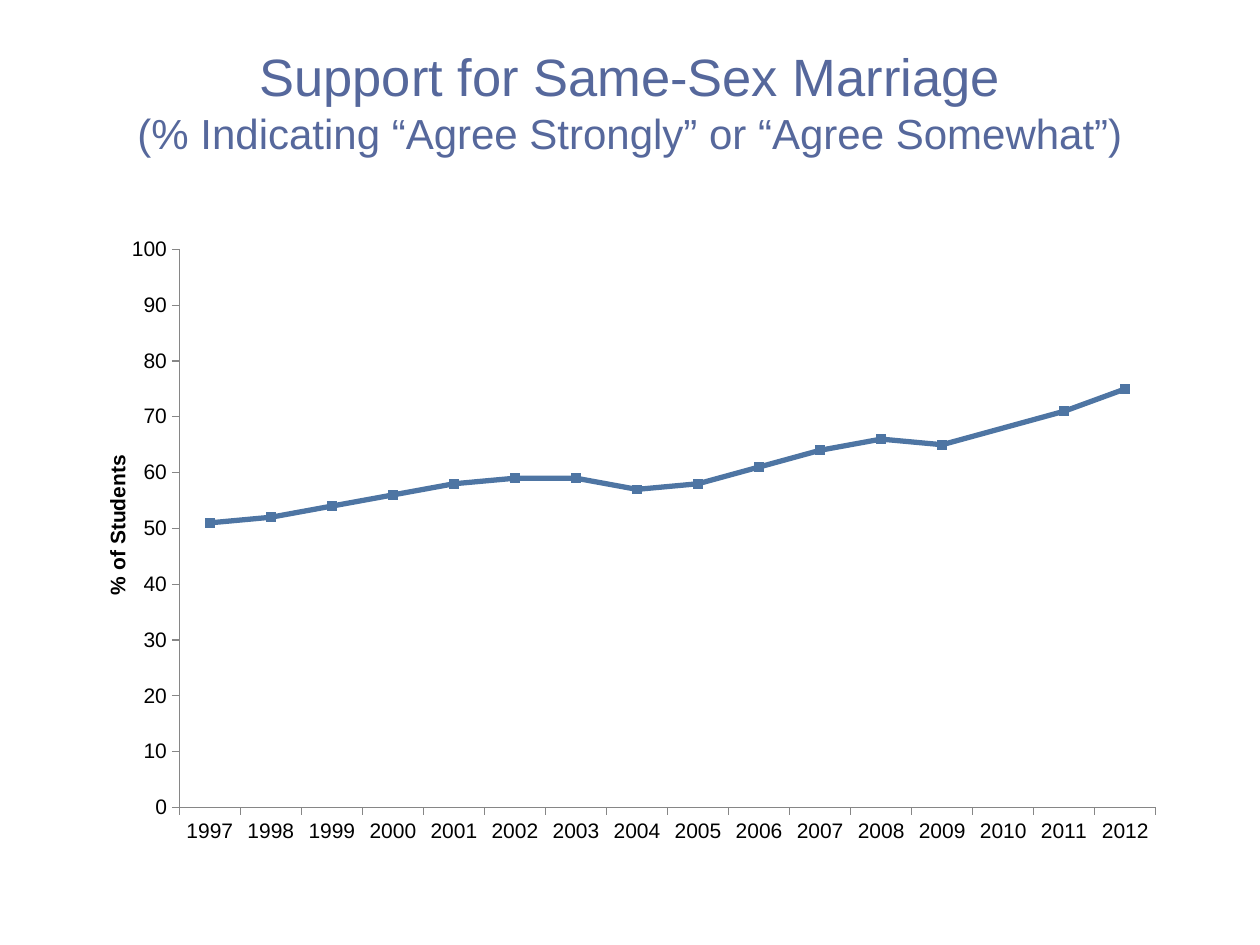
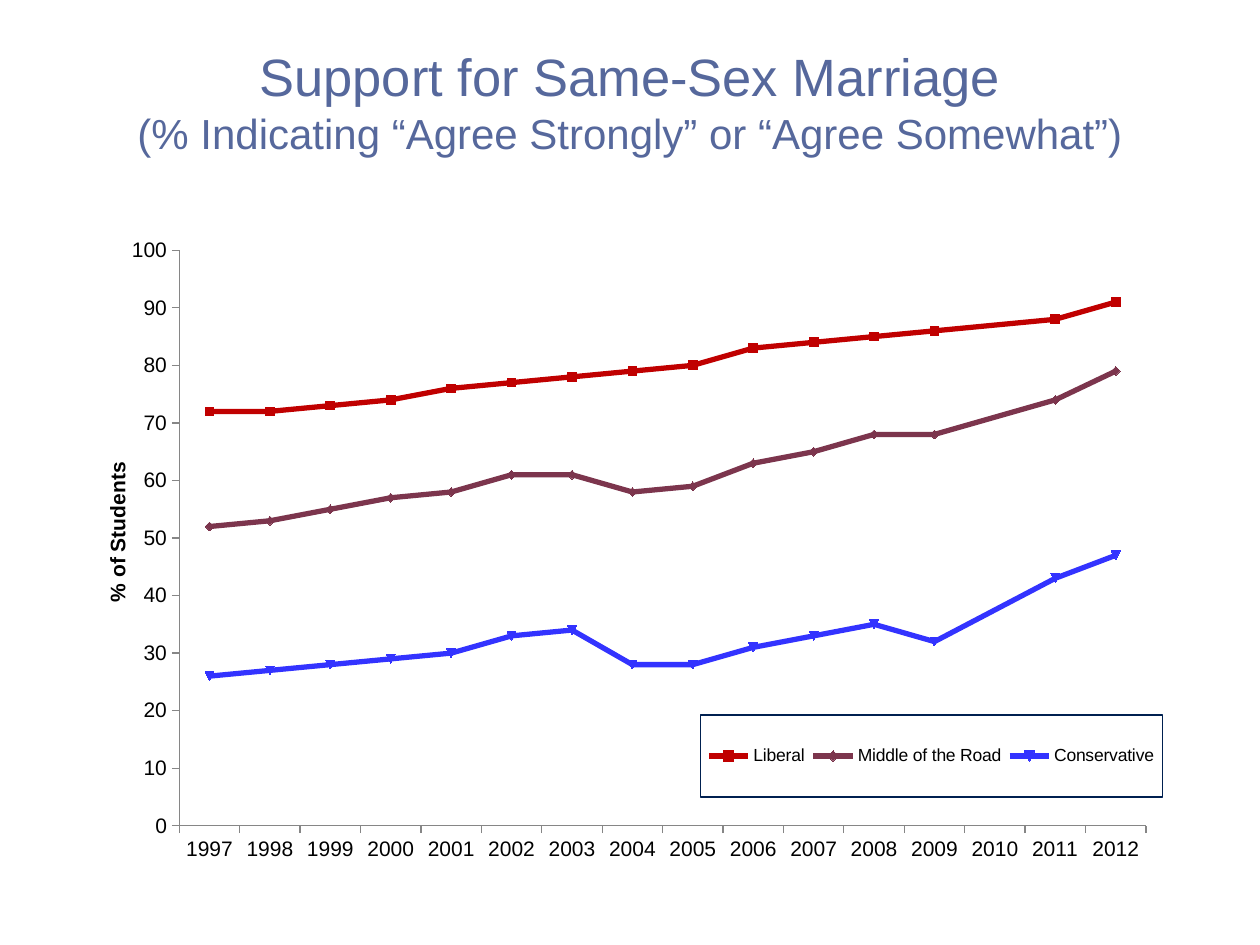
from pptx import Presentation
from pptx.chart.data import CategoryChartData
from pptx.dml.color import RGBColor
from pptx.enum.chart import XL_CHART_TYPE, XL_LEGEND_POSITION, XL_MARKER_STYLE, XL_TICK_MARK
from pptx.enum.text import MSO_ANCHOR, MSO_AUTO_SIZE, PP_ALIGN
from pptx.oxml import parse_xml
from pptx.oxml.ns import nsdecls
from pptx.util import Cm, Pt

FONT = "Arial"
WHITE = RGBColor(0xFF, 0xFF, 0xFF)
BLACK = RGBColor(0, 0, 0)
TITLE_BLUE = RGBColor(0x56, 0x68, 0x9C)
AXIS_GRAY = RGBColor(0x86, 0x86, 0x86)
LEGEND_NAVY = RGBColor(0x00, 0x20, 0x50)
STEEL = RGBColor(0x4E, 0x75, 0xA3)
RED = RGBColor(0xC0, 0x00, 0x00)
PLUM = RGBColor(0x7C, 0x35, 0x4D)
BLUE = RGBColor(0x33, 0x33, 0xFF)

SQUARE = XL_MARKER_STYLE.SQUARE
AUTOMATIC = XL_MARKER_STYLE.AUTOMATIC
TITLE = "Support for Same-Sex Marriage\n(% Indicating “Agree Strongly” or “Agree Somewhat”)"
YEARS = [str(year) for year in range(1997, 2013)]

PAGES = [
    {
        "title_height": 3.05,
        "chart_height": 13.13,
        "plot_width": 0.894,
        "series": [
            ("Series 1", STEEL, SQUARE,
             [51, 52, 54, 56, 58, 59, 59, 57, 58, 61, 64, 66, 65, None, 71, 75]),
        ],
    },
    {
        "title_height": 3.25,
        "chart_height": 13.54,
        "plot_width": 0.885,
        "series": [
            ("Liberal", RED, SQUARE,
             [72, 72, 73, 74, 76, 77, 78, 79, 80, 83, 84, 85, 86, None, 88, 91]),
            ("Middle of the Road", PLUM, AUTOMATIC,
             [52, 53, 55, 57, 58, 61, 61, 58, 59, 63, 65, 68, 68, None, 74, 79]),
            ("Conservative", BLUE, AUTOMATIC,
             [26, 27, 28, 29, 30, 33, 34, 28, 28, 31, 33, 35, 32, None, 43, 47]),
        ],
    },
]


def place(element, index, target="", **fractions):
    for layout in element.xpath("c:layout"):
        element.remove(layout)
    inner = f'<c:layoutTarget val="{target}"/>' if target else ""
    modes = '<c:xMode val="edge"/><c:yMode val="edge"/>'
    sizes = "".join(f'<c:{name} val="{value}"/>' for name, value in fractions.items())
    element.insert(index, parse_xml(
        f'<c:layout {nsdecls("c")}><c:manualLayout>{inner}{modes}{sizes}'
        '</c:manualLayout></c:layout>'))


def paint(element, line):
    outline = f'<a:solidFill><a:srgbClr val="{line}"/></a:solidFill>' if line else "<a:noFill/>"
    element.xpath("c:txPr")[0].addprevious(parse_xml(
        f'<c:spPr {nsdecls("c", "a")}><a:solidFill><a:srgbClr val="{WHITE}"/></a:solidFill>'
        f'<a:ln w="9525">{outline}</a:ln></c:spPr>'))


deck = Presentation()
deck.slide_width = Cm(25.4)
deck.slide_height = Cm(19.05)

for content in PAGES:
    page = deck.slides.add_slide(deck.slide_layouts[5])

    title = page.shapes.title
    title.left, title.top = Cm(1.27), Cm(0.76)
    title.width, title.height = Cm(22.86), Cm(content["title_height"])
    title.fill.solid()
    title.fill.fore_color.rgb = WHITE
    frame = title.text_frame
    frame.text = TITLE
    frame.word_wrap = True
    frame.auto_size = MSO_AUTO_SIZE.NONE
    frame.vertical_anchor = MSO_ANCHOR.TOP
    for para, size in zip(frame.paragraphs, (30, 24)):
        para.alignment = PP_ALIGN.CENTER
        for span in para.runs:
            span.font.name = FONT
            span.font.size = Pt(size)
            span.font.color.rgb = TITLE_BLUE

    data = CategoryChartData(number_format="0")
    data.categories = YEARS
    for name, color, marker, values in content["series"]:
        data.add_series(name, values)
    chart = page.shapes.add_chart(
        XL_CHART_TYPE.LINE_MARKERS, Cm(1.7), Cm(4.45), Cm(22.02),
        Cm(content["chart_height"]), data).chart
    chart.has_title = False
    chart.has_legend = len(content["series"]) > 1
    chart.font.name = FONT
    chart.font.size = Pt(12)
    chart.font.color.rgb = BLACK
    chart.plots[0].vary_by_categories = False

    for series, (name, color, marker, values) in zip(chart.plots[0].series, content["series"]):
        series.smooth = False
        series.format.line.color.rgb = color
        series.format.line.width = Pt(3)
        series.marker.style = marker
        series.marker.size = 5
        series.marker.format.fill.solid()
        series.marker.format.fill.fore_color.rgb = color
        series.marker.format.line.color.rgb = color

    for axis in (chart.category_axis, chart.value_axis):
        axis.has_major_gridlines = False
        axis.major_tick_mark = XL_TICK_MARK.OUTSIDE
        axis.minor_tick_mark = XL_TICK_MARK.NONE
        axis.format.line.color.rgb = AXIS_GRAY
        axis.format.line.width = Pt(0.75)
    scale = chart.value_axis
    scale.minimum_scale, scale.maximum_scale, scale.major_unit = 0, 100, 10
    scale.tick_labels.number_format = "0"
    scale.tick_labels.number_format_is_linked = False
    scale.has_title = True
    scale.axis_title.text_frame.text = "% of Students"
    label = scale.axis_title.text_frame.paragraphs[0].runs[0].font
    label.name, label.size, label.bold = FONT, Pt(12), True
    label.color.rgb = BLACK

    root = chart._chartSpace
    paint(root, None)
    place(root.xpath("//c:plotArea")[0], 0, "inner",
          x=0.087, y=0.044, w=content["plot_width"], h=0.857)
    place(root.xpath("//c:valAx/c:title")[0], 1, x=0.015, y=0.354)
    for blanks in root.xpath("//c:dispBlanksAs"):
        blanks.set("val", "span")

    if chart.has_legend:
        legend = chart.legend
        legend.position = XL_LEGEND_POSITION.RIGHT
        legend.include_in_layout = False
        legend.font.name = FONT
        legend.font.size = Pt(10)
        legend.font.color.rgb = BLACK
        box = root.xpath("//c:legend")[0]
        place(box, 1, x=0.564, y=0.736, w=0.423, h=0.122)
        paint(box, LEGEND_NAVY)

deck.save("out.pptx")
